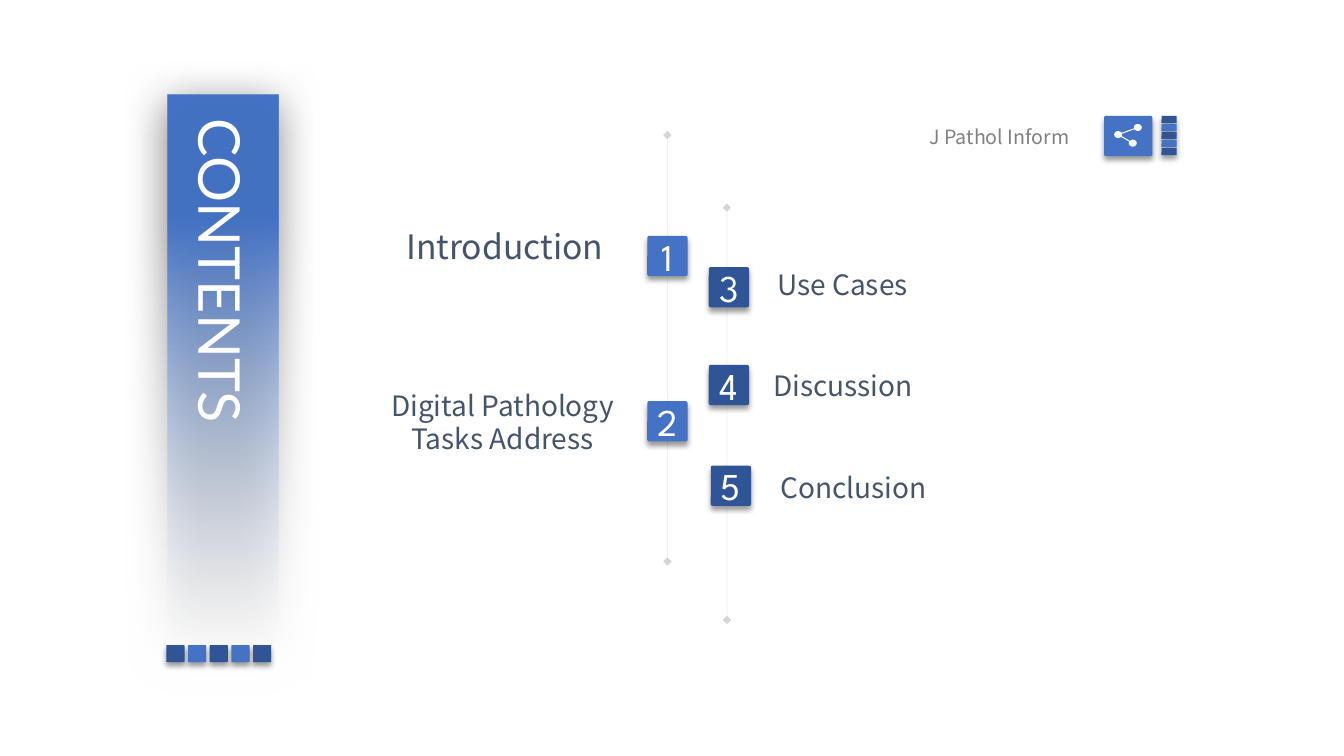
import pptx
import pptx.util
import pptx.dml.color
import pptx.enum.shapes
import pptx.enum.text
import pptx.oxml
import pptx.oxml.ns
from pptx.util import Inches

THEME = {
    "blue": "4472C4", "navy": "2F5597", "pale": "F7FAFD", "white": "FFFFFF",
    "slate": "44546A", "gray": "808080", "black": "000000",
    "title": 41.2, "number": 27, "lead": 24, "item": 20, "small": 14,
    "title_font": "Lato", "number_font": "League Spartan", "text_font": "Noto Sans CJK SC",
}
TIGHT = (0.07, 0.04)
LOOSE = (0.1, 0.05)
TIMELINES = [(7.21, 2.06, 6.15), (6.62, 1.34, 5.57)]
BADGES = [
    ("1", 6.42, 2.34, "blue"), ("3", 7.03, 2.65, "navy"), ("2", 6.42, 3.98, "blue"),
    ("4", 7.03, 3.62, "navy"), ("5", 7.05, 4.62, "navy"),
]
LABELS = [
    (["Introduction"], (3.96, 2.2, 2.15, 0.48), dict(size="lead", insets=TIGHT, wrap=False)),
    (["Digital Pathology", "Tasks Address"], (3.75, 3.81, 2.47, 0.75),
     dict(insets=TIGHT, wrap=False, centered=True)),
    (["Use Cases"], (7.61, 2.6, 1.89, 0.44), {}),
    (["Discussion"], (7.57, 3.61, 2.37, 0.44), {}),
    (["Conclusion"], (7.64, 4.62, 2.1, 0.44), {}),
    (["J Pathol Inform"], (9.12, 1.19, 1.92, 0.64), dict(size="small", color="gray")),
]
STRIP_COLORS = ["navy", "blue", "navy", "blue", "navy"]
SHARE_DOTS = [(11.09, 1.335), (11.285, 1.265), (11.235, 1.42)]
DOT_SIZE = (0.08, 0.07)
KINDS = pptx.enum.shapes.MSO_SHAPE

deck = pptx.Presentation()
deck.slide_width, deck.slide_height = Inches(13.33), Inches(7.5)
page = deck.slides.add_slide(deck.slide_layouts[6])


def rgb(name):
    return pptx.dml.color.RGBColor.from_string(THEME[name])


def xml(markup):
    return pptx.oxml.parse_xml(markup.replace(">", f' {pptx.oxml.ns.nsdecls("a")}>', 1))


def add_shadow(shape, alpha, blur, distance, angle):
    shape._element.spPr.append(xml(
        f'<a:effectLst><a:outerShdw blurRad="{blur * 12700}" dist="{distance * 12700}" '
        f'dir="{angle * 60000}" algn="t" rotWithShape="0"><a:srgbClr val="{THEME["black"]}">'
        f'<a:alpha val="{alpha * 1000}"/></a:srgbClr></a:outerShdw></a:effectLst>'))


def add_block(kind, area, color):
    shape = page.shapes.add_shape(kind, *map(Inches, area))
    shape.fill.solid()
    shape.fill.fore_color.rgb = rgb(color)
    shape.line.fill.background()
    return shape


def add_tile(area, color):
    tile = add_block(KINDS.ROUNDED_RECTANGLE, area, color)
    tile.adjustments[0] = 0.05
    add_shadow(tile, 40, 4, 3, 90)
    return tile


def add_line(start, end, color, width):
    line = page.shapes.add_connector(
        pptx.enum.shapes.MSO_CONNECTOR.STRAIGHT, *map(Inches, start + end))
    line.line.color.rgb = rgb(color)
    line.line.width = pptx.util.Pt(width)
    line._element.spPr.append(xml("<a:effectLst></a:effectLst>"))
    return line


def write_text(frame, lines, size="item", font="text_font", color="slate",
               insets=LOOSE, wrap=True, centered=False, fixed_lines=True):
    frame.word_wrap = wrap
    frame.margin_left = frame.margin_right = Inches(insets[0])
    frame.margin_top = frame.margin_bottom = Inches(insets[1])
    for index, line in enumerate(lines):
        para = frame.add_paragraph() if index else frame.paragraphs[0]
        align = pptx.enum.text.PP_ALIGN
        para.alignment = align.CENTER if centered else align.LEFT
        if fixed_lines:
            para.line_spacing = pptx.util.Pt(THEME[size] * 1.2)
        span = para.add_run()
        span.text = line
        span.font.size = pptx.util.Pt(THEME[size])
        span.font.name = THEME[font]
        span.font.color.rgb = rgb(color)


def add_label(lines, area, **style):
    box = page.shapes.add_textbox(*map(Inches, area))
    write_text(box.text_frame, lines, **style)
    box.text_frame.auto_size = pptx.enum.text.MSO_AUTO_SIZE.SHAPE_TO_FIT_TEXT
    return box


for x, top, bottom in TIMELINES:
    timeline = add_line((x, top), (x, bottom), "gray", 0.25)
    stroke = timeline.line._get_or_add_ln()
    stroke.find(".//" + pptx.oxml.ns.qn("a:srgbClr")).append(xml('<a:alpha val="33000"></a:alpha>'))
    for end in ("headEnd", "tailEnd"):
        stroke.append(xml(f'<a:{end} type="diamond"></a:{end}>'))

banner = add_block(KINDS.RECTANGLE, (1.66, 0.94, 1.1, 5.59), "blue")
banner_properties = banner._element.spPr
banner_properties.replace(banner_properties.find(pptx.oxml.ns.qn("a:solidFill")), xml(
    f'<a:gradFill rotWithShape="1"><a:gsLst>'
    f'<a:gs pos="0"><a:srgbClr val="{THEME["blue"]}"/></a:gs>'
    f'<a:gs pos="22000"><a:srgbClr val="{THEME["blue"]}"/></a:gs>'
    f'<a:gs pos="100000"><a:srgbClr val="{THEME["pale"]}"><a:alpha val="0"/></a:srgbClr></a:gs>'
    f'</a:gsLst><a:lin ang="5400000" scaled="0"/></a:gradFill>'))
add_shadow(banner, 50, 31, 6, 97)

for index, color in enumerate(STRIP_COLORS):
    add_tile((1.65 + index * 0.215, 6.4, 0.18, 0.17), color)
    add_tile((11.52, 1.15 + index * 0.08, 0.15, 0.07), color)

title = add_label(["CONTENTS"], (1.76, 1.14, 0.85, 3.71), size="title", font="title_font",
                  color="white", insets=TIGHT, fixed_lines=False)
title.text_frame._txBody.bodyPr.set("vert", "eaVert")

for number, left, top, color in BADGES:
    badge = add_tile((left, top, 0.4, 0.4), color)
    badge.text_frame.vertical_anchor = pptx.enum.text.MSO_ANCHOR.MIDDLE
    write_text(badge.text_frame, [number], size="number", font="number_font", color="white",
               insets=TIGHT, centered=True, fixed_lines=False)

add_tile((10.95, 1.15, 0.48, 0.4), "blue")
for target in SHARE_DOTS[1:]:
    add_line(SHARE_DOTS[0], target, "white", 0.75)
for x, y in SHARE_DOTS:
    dot_width, dot_height = DOT_SIZE
    dot = add_block(KINDS.OVAL, (x - dot_width / 2, y - dot_height / 2, *DOT_SIZE), "white")
    dot.shadow.inherit = False

for lines, area, style in LABELS:
    add_label(lines, area, **style)

deck.save("out.pptx")
